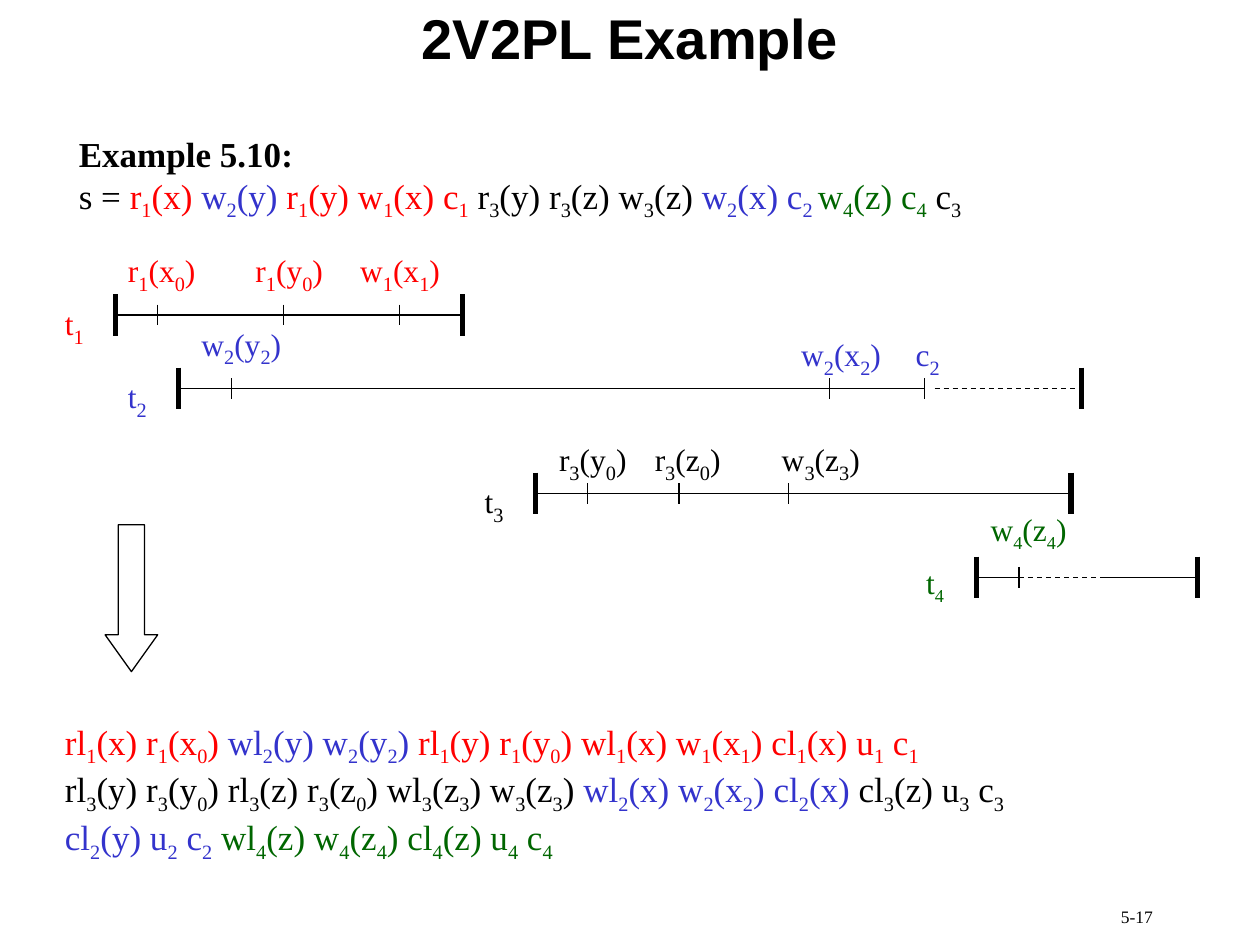
from itertools import groupby

from lxml import etree
from pptx import Presentation
from pptx import util as u
from pptx.dml.color import RGBColor
from pptx.enum import dml, shapes, text
from pptx.oxml import ns

COLOURS = {
    "t1": "FF0000",
    "t2": "3333CC",
    "t3": "000000",
    "t4": "006600",
    "ink": "000000",
}
SERIF = "Times New Roman"
SUBSCRIPTS = "0123456789_"


def add_box(page, box, grow=True):
    """Add an empty text box and return its text frame."""
    frame = page.shapes.add_textbox(*map(u.Cm, box)).text_frame
    frame.word_wrap = True
    frame.auto_size = (
        text.MSO_AUTO_SIZE.SHAPE_TO_FIT_TEXT if grow else text.MSO_AUTO_SIZE.NONE
    )
    return frame


def add_span(para, words, size, colour="ink", font=SERIF, bold=False):
    """Append one formatted run to a paragraph."""
    span = para.add_run()
    span.text = words
    span.font.size = u.Pt(size)
    span.font.name = font
    span.font.bold = bold
    span.font.color.rgb = RGBColor.from_string(COLOURS[colour])
    return span


def add_formula(para, pieces, size=20, sub_size=20):
    """Write coloured pieces with digits lowered; _ is a lowered space."""
    for colour, words in pieces:
        for lowered, letters in groupby(words, lambda letter: letter in SUBSCRIPTS):
            part = "".join(letters).replace("_", " ")
            span = add_span(para, part, sub_size if lowered else size, colour)
            if lowered:
                span.font._element.set("baseline", "-25000")


def add_line(page, start, end, width=0.75, dashed=False):
    """Draw a straight black line without a shadow."""
    line = page.shapes.add_connector(
        shapes.MSO_CONNECTOR.STRAIGHT, *map(u.Cm, (*start, *end))
    )
    line.line.width = u.Pt(width)
    line.line.color.rgb = RGBColor.from_string(COLOURS["ink"])
    if dashed:
        line.line.dash_style = dml.MSO_LINE.DASH
    etree.SubElement(line._element.spPr, ns.qn("a:effectLst"))


def add_title(page, box):
    """Place the centred slide title."""
    frame = add_box(page, box, grow=False)
    frame.vertical_anchor = text.MSO_ANCHOR.MIDDLE
    para = frame.paragraphs[0]
    para.alignment = text.PP_ALIGN.CENTER
    add_span(para, "2V2PL Example", 32, font="Arial", bold=True)


def add_page_number(page, box):
    """Place the right-aligned page number."""
    para = add_box(page, box, grow=False).paragraphs[0]
    para.alignment = text.PP_ALIGN.RIGHT
    add_span(para, "5-17", 10)


def add_schedule(page, box):
    """Place the example heading and its input schedule."""
    frame = add_box(page, box)
    add_span(frame.paragraphs[0], "Example 5.10:", 20, bold=True)
    add_formula(frame.add_paragraph(), [
        ("ink", "s = "), ("t1", "r1(x) "), ("t2", "w2(y) "),
        ("t1", "r1(y) w1(x) c1"), ("t3", " r3(y) r3(z) w3(z) "),
        ("t2", "w2(x) c2_"), ("t4", "w4(z) c4"), ("t3", " c3"),
    ])


def add_output(page, box):
    """Place the resulting schedule with its lock operations."""
    frame = add_box(page, box)
    rows = [
        [("t1", "rl1(x) r1(x0) "), ("t2", "wl2(y) w2(y2) "),
         ("t1", "rl1(y) r1(y0) wl1(x) w1(x1) cl1(x) u1 c1")],
        [("t3", "rl3(y) r3(y0) rl3(z) r3(z0) wl3(z3) w3(z3) "),
         ("t2", "wl2(x) w2(x2) cl2(x)"), ("t3", " cl3(z) u3 c3")],
        [("t2", "cl2(y) u2 c2 "), ("t4", "wl4(z) w4(z4) cl4(z) u4 c4")],
    ]
    for index, pieces in enumerate(rows):
        para = frame.add_paragraph() if index else frame.paragraphs[0]
        add_formula(para, pieces)


def add_arrow(page, box):
    """Place the hollow arrow leading to the output."""
    arrow = page.shapes.add_shape(shapes.MSO_SHAPE.DOWN_ARROW, *map(u.Cm, box))
    arrow.adjustments[0] = 0.5
    arrow.adjustments[1] = 0.7
    arrow.shadow.inherit = False
    arrow.fill.background()
    arrow.line.color.rgb = RGBColor.from_string(COLOURS["ink"])
    arrow.line.width = u.Pt(0.75)


def add_timeline(page, box, name, segments, ticks, labels, sub_size=20):
    """Draw one transaction, with offsets taken from the left end of its axis."""
    left, top, width, height = box
    axis = top + height / 2
    for start, end, dashed in segments:
        add_line(page, (left + start, axis), (left + end, axis), dashed=dashed)
    for x in (left, left + width):
        add_line(page, (x, top), (x, top + height), width=3)
    for tick in ticks:
        x = left + tick
        add_line(page, (x, axis - 0.21), (x, axis + 0.21))
    for words, x, y, label_width in [(name, -1.27, -0.42, 1.27), *labels]:
        frame = add_box(page, (left + x, axis + y, label_width, 1.22))
        add_formula(frame.paragraphs[0], [(name, words)], 18, sub_size)


def add_timelines(page, box):
    """Place the four transactions inside the diagram area."""
    left, top = box[:2]
    rows = [
        (0, 0, 6.99, "t1", [(0, 6.99, False)], [0.85, 3.39, 5.72],
         [("r1(x0)", 0, -1.48, 2.34), ("r1(y0)", 2.57, -1.48, 1.9),
          ("w1(x1)", 4.68, -1.48, 2.16)], 20),
        (1.27, 1.48, 18.2, "t2",
         [(0, 3.81, False), (3.81, 15.03, False), (15.24, 18.2, True)],
         [1.06, 13.12, 15.03],
         [("w2(y2)", 0.21, -1.48, 2.49), ("w2(x2)", 12.3, -1.27, 2.16),
          ("c2", 14.61, -1.27, 1.04)], 20),
        (8.46, 3.6, 10.8, "t3",
         [(0, 2.75, False), (2.33, 4.87, False), (4.87, 10.8, False)],
         [1.06, 2.9, 5.11],
         [("r3(y0)", 0.23, -1.27, 1.9), ("r3(z0)", 2.16, -1.27, 1.88),
          ("w3(z3)", 4.72, -1.27, 2.13)], 20),
        (17.36, 5.29, 4.45, "t4",
         [(0, 0.85, False), (0.85, 2.54, True), (2.54, 4.45, False)],
         [0.85], [("w4(z4)", 0.03, -1.48, 2.08)], 18),
    ]
    for x, y, width, *details in rows:
        add_timeline(page, (left + x, top + y, width, 0.84), *details)


def main():
    """Build the slide and save the deck."""
    deck = Presentation()
    deck.slide_width, deck.slide_height = u.Cm(25.4), u.Cm(19.05)
    page = deck.slides.add_slide(deck.slide_layouts[6])
    add_page_number(page, (18.2, 18.13, 5.29, 0.91))
    add_title(page, (0, 0, 25.4, 1.48))
    add_schedule(page, (1.34, 2.54, 18.6, 2.08))
    add_output(page, (1.06, 14.39, 21.17, 3.16))
    add_arrow(page, (2.12, 10.58, 1.06, 2.96))
    add_timelines(page, (2.33, 5.93, 21.81, 6.13))
    deck.save("out.pptx")


if __name__ == "__main__":
    main()
